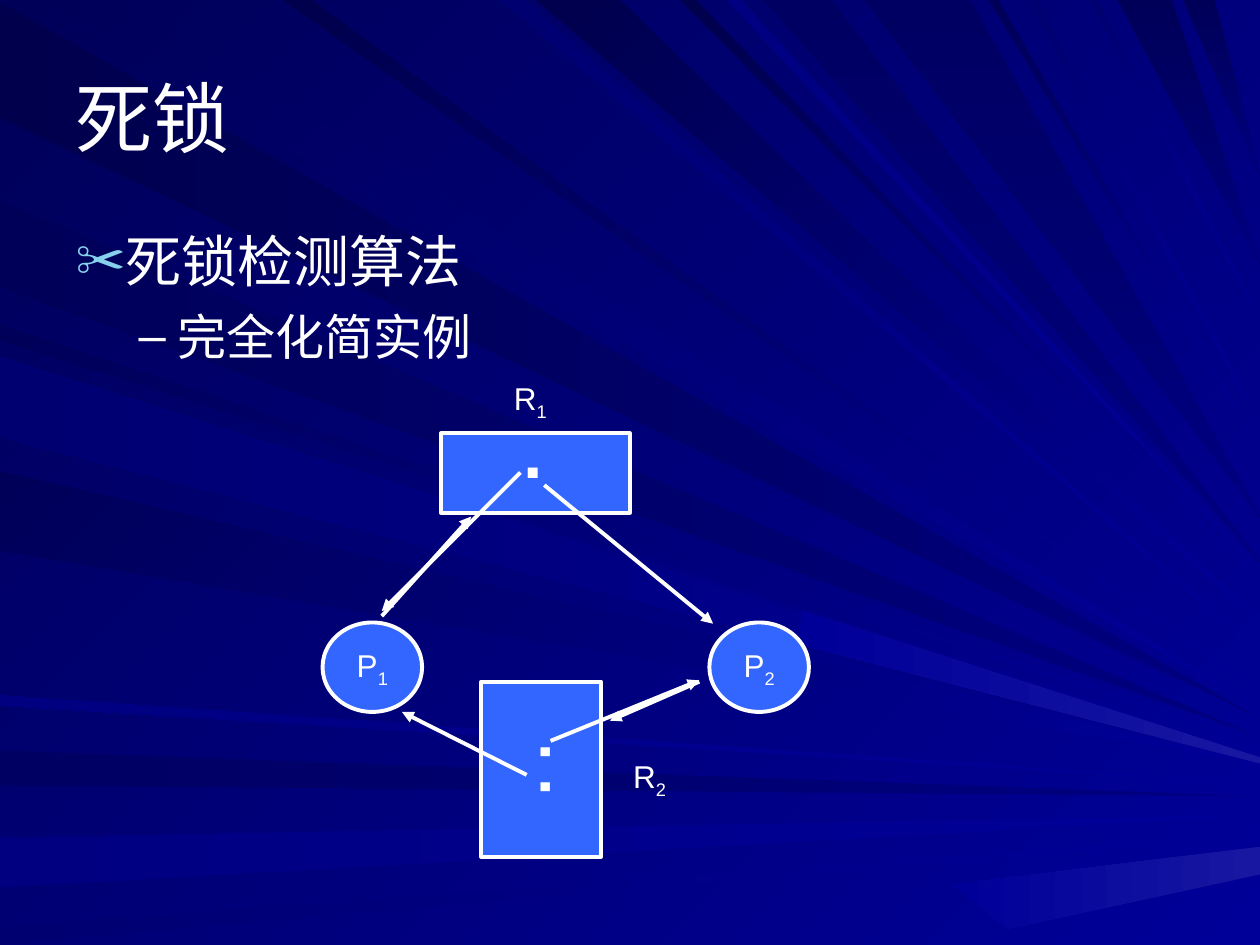
from lxml.etree import SubElement
from pptx import Presentation
from pptx.dml.color import RGBColor
from pptx.enum.shapes import MSO_CONNECTOR as Connector, MSO_SHAPE as Preset
from pptx.enum.text import MSO_ANCHOR as Anchor, MSO_AUTO_SIZE as AutoSize, PP_ALIGN as Align
from pptx.oxml.ns import qn
from pptx.util import Inches, Pt

WHITE = RGBColor.from_string("FFFFFF")
NODE_BLUE = RGBColor.from_string("3366FF")
BULLET_BLUE = RGBColor.from_string("86D1EC")
BRIGHT = RGBColor.from_string("000099")
MEDIUM = RGBColor.from_string("000080")
SOFT = RGBColor.from_string("000070")
DUSK = RGBColor.from_string("000062")
DEEP = RGBColor.from_string("000058")
DARK = RGBColor.from_string("00004C")
PALE = RGBColor.from_string("1717A2")
FONT = "Arial"
LINE_WIDTH = Pt(2.25)
SLIDE_WIDTH, SLIDE_HEIGHT = 10, 7.5

LEFT, UP_LEFT, DOWN = 180, 135, 270
LEFT_RAYS = [
    (0.02, 0.93, 5.7, MEDIUM, DARK, LEFT),
    (5.96, 6.23, 6.32, MEDIUM, DUSK, LEFT),
    (6.65, 7.04, 6.47, BRIGHT, MEDIUM, LEFT),
    (7.35, 7.5, 6.62, BRIGHT, SOFT, LEFT),
    (2.58, 2.7, 5.89, BRIGHT, DEEP, UP_LEFT),
    (1.59, 2.28, 5.85, MEDIUM, DEEP, LEFT),
    (2.78, 3.42, 6, BRIGHT, DUSK, UP_LEFT),
    (3.74, 4.37, 6.06, BRIGHT, DEEP, UP_LEFT),
    (5.52, 5.6, 6.22, BRIGHT, MEDIUM, LEFT),
    (2.83, 3.47, 6.04, BRIGHT, SOFT, LEFT),
]
TOP_RAYS = [
    (0.26, 1.01, 5.63, BRIGHT, DEEP, UP_LEFT),
    (3.98, 4.16, 5.18, BRIGHT, SOFT, UP_LEFT),
    (4.26, 4.92, 4.93, BRIGHT, DARK, UP_LEFT),
    (5.4, 5.52, 4.63, BRIGHT, DARK, UP_LEFT),
    (6.06, 6.6, 4.46, DUSK, MEDIUM, DOWN),
    (8.87, 9.3, 2.1, DEEP, MEDIUM, DOWN),
    (9.39, 9.64, 1.4, DEEP, MEDIUM, DOWN),
    (2.25, 2.47, 5.5, BRIGHT, DARK, UP_LEFT),
    (5.77, 5.88, 4.54, BRIGHT, MEDIUM, UP_LEFT),
    (6.86, 7.7, 4.1, DUSK, MEDIUM, DOWN),
    (7.85, 7.92, 3.57, BRIGHT, DEEP, UP_LEFT),
    (8.15, 8.24, 3.36, BRIGHT, SOFT, UP_LEFT),
    (8.65, 8.72, 2.54, BRIGHT, SOFT, UP_LEFT),
]
GLOWS = [
    [(6.37, 4.85), (6.33, 5.11), (10, 6.06), (10, 6.01)],
    [(7.56, 7.02), (8, 7.37), (10, 6.94), (10, 6.72)],
]
ARROWS = [
    ((3.03, 4.89), (3.74, 4.1)),
    ((4.18, 6.15), (3.19, 5.65)),
    ((4.32, 3.85), (5.66, 4.95)),
    ((5.55, 5.41), (4.84, 5.72)),
    ((4.37, 5.88), (5.55, 5.4)),
    ((4.13, 3.75), (3.03, 4.85)),
]


def apply_format(target, **values):
    """Set every given attribute on the target."""
    for name, value in values.items():
        setattr(target, name, value)


def place(shape, left, top, width, height):
    """Move and size a shape in inches."""
    apply_format(shape, left=Inches(left), top=Inches(top), width=Inches(width), height=Inches(height))


def fill_gradient(fill, start, end, angle):
    """Fill with a two-stop linear gradient."""
    fill.gradient()
    fill.gradient_angle = angle
    for stop, color in zip(fill.gradient_stops, (start, end)):
        stop.color.rgb = color


def add_ray(slide, points, start, end, angle):
    """Draw one light ray of the background."""
    corners = [(Inches(x), Inches(y)) for x, y in points]
    builder = slide.shapes.build_freeform(*corners[0])
    builder.add_line_segments(corners[1:], close=True)
    shape = builder.convert_to_shape()
    shape.shadow.inherit = False
    shape.line.fill.background()
    fill_gradient(shape.fill, start, end, angle)


def add_rays(slide):
    """Draw the rays that run from the left and top edges to the right edge."""
    for near, far, tip, *colors in LEFT_RAYS:
        add_ray(slide, [(0, near), (0, far), (SLIDE_WIDTH, tip)], *colors)
    for near, far, tip, *colors in TOP_RAYS:
        add_ray(slide, [(near, 0), (far, 0), (SLIDE_WIDTH, tip)], *colors)
    for points in GLOWS:
        add_ray(slide, points, PALE, BRIGHT, LEFT)


def add_run(paragraph, text, size, bold=False):
    """Append a white run and return it."""
    run = paragraph.add_run()
    run.text = text
    apply_format(run.font, name=FONT, size=Pt(size), bold=bold)
    run.font.color.rgb = WHITE
    return run


def write_symbol(text_frame, letter, index):
    """Write a centred letter with a subscript."""
    paragraph = text_frame.paragraphs[0]
    paragraph.alignment = Align.CENTER
    add_run(paragraph, letter, 18)
    add_run(paragraph, index, 18).font._element.set("baseline", "-25000")


def add_node(slide, preset, *box):
    """Add a blue node with a white outline."""
    shape = slide.shapes.add_shape(preset, *map(Inches, box))
    shape.shadow.inherit = False
    shape.fill.solid()
    shape.fill.fore_color.rgb = NODE_BLUE
    shape.line.color.rgb = WHITE
    shape.line.width = LINE_WIDTH
    apply_format(shape.text_frame, word_wrap=False, vertical_anchor=Anchor.MIDDLE)
    return shape


def add_text_box(slide, *box):
    """Add an unwrapped text box and return its text frame."""
    text_frame = slide.shapes.add_textbox(*map(Inches, box)).text_frame
    apply_format(text_frame, word_wrap=False, auto_size=AutoSize.SHAPE_TO_FIT_TEXT)
    return text_frame


def add_units(slide, text, size, *box):
    """Add the bold dots that stand for resource units."""
    text_frame = add_text_box(slide, *box)
    text_frame.paragraphs[0].alignment = Align.CENTER
    add_run(text_frame.paragraphs[0], text, size, True)
    return text_frame


def add_arrow(slide, start, end):
    """Draw a white line with a triangle at its end."""
    connector = slide.shapes.add_connector(Connector.STRAIGHT, *map(Inches, start + end))
    connector.line.color.rgb = WHITE
    connector.line.width = LINE_WIDTH
    SubElement(connector.line._get_or_add_ln(), qn("a:tailEnd"), type="triangle")
    SubElement(connector.element.spPr, qn("a:effectLst"))


def write_bullet(paragraph, text, size, level, space, margin, indent, mark, color, percent):
    """Write a list item with its own bullet mark."""
    apply_format(paragraph, level=level, space_before=Pt(space), alignment=Align.LEFT)
    properties = paragraph._p.get_or_add_pPr()
    properties.set("marL", str(Inches(margin)))
    properties.set("indent", str(Inches(indent)))
    SubElement(SubElement(properties, qn("a:buClr")), qn("a:srgbClr"), val=str(color))
    SubElement(properties, qn("a:buSzPct"), val=str(percent * 1000))
    SubElement(properties, qn("a:buFont"), typeface=FONT)
    SubElement(properties, qn("a:buChar"), char=mark)
    add_run(paragraph, text, size)


def fill_placeholders(slide):
    """Write the title and the list above the rays."""
    title, body = slide.shapes.title, slide.placeholders[1]
    for shape in (title, body):
        shape.element.getparent().append(shape.element)
        shape.text_frame.auto_size = AutoSize.NONE
    place(title, 0.5, 0.3, 9, 1.25)
    title.text_frame.vertical_anchor = Anchor.MIDDLE
    title.text_frame.paragraphs[0].alignment = Align.LEFT
    add_run(title.text_frame.paragraphs[0], "死锁", 44)
    place(body, 0.5, 1.75, 9, 1.21)
    write_bullet(body.text_frame.paragraphs[0], "死锁检测算法", 32, 0, 8, 0.38, -0.38, "✂", BULLET_BLUE, 90)
    write_bullet(body.text_frame.add_paragraph(), "完全化简实例", 28, 1, 7, 0.81, -0.31, "–", WHITE, 100)


def main():
    """Build the deadlock slide."""
    presentation = Presentation()
    apply_format(presentation, slide_width=Inches(SLIDE_WIDTH), slide_height=Inches(SLIDE_HEIGHT))
    slide = presentation.slides.add_slide(presentation.slide_layouts[1])
    fill_gradient(slide.background.fill, BRIGHT, DEEP, UP_LEFT)
    add_rays(slide)
    fill_placeholders(slide)

    add_node(slide, Preset.RECTANGLE, 3.5, 3.44, 1.5, 0.63)
    add_node(slide, Preset.RECTANGLE, 3.82, 5.41, 0.95, 1.39)
    for index, left in (("1", 2.56), ("2", 5.63)):
        process = add_node(slide, Preset.OVAL, left, 4.94, 0.79, 0.71)
        write_symbol(process.text_frame, "P", index)
    for index, box in (("1", (3.98, 2.96, 0.46, 0.44)), ("2", (4.84, 5.96, 0.63, 0.44))):
        write_symbol(add_text_box(slide, *box), "R", index)

    add_units(slide, ".", 40, 4.06, 3.19, 0.35, 0.77)
    stacked = add_units(slide, ". .", 36, 4.04, 5.8, 0.8, 0.52)
    stacked._txBody.bodyPr.set("vert", "eaVert")
    apply_format(stacked, margin_left=Inches(0.05), margin_right=Inches(0.05),
                 margin_top=Inches(0.1), margin_bottom=Inches(0.1))
    for start, end in ARROWS:
        add_arrow(slide, start, end)
    presentation.save("out.pptx")


if __name__ == "__main__":
    main()
